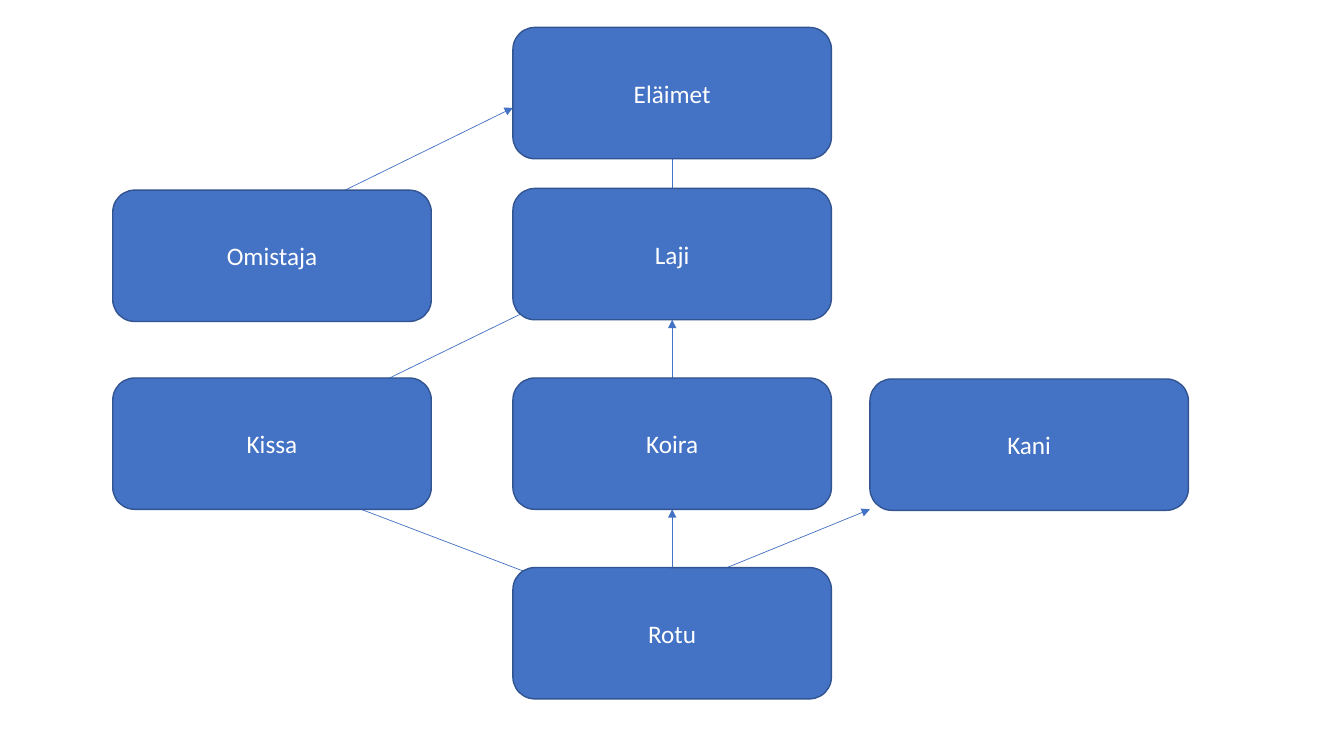
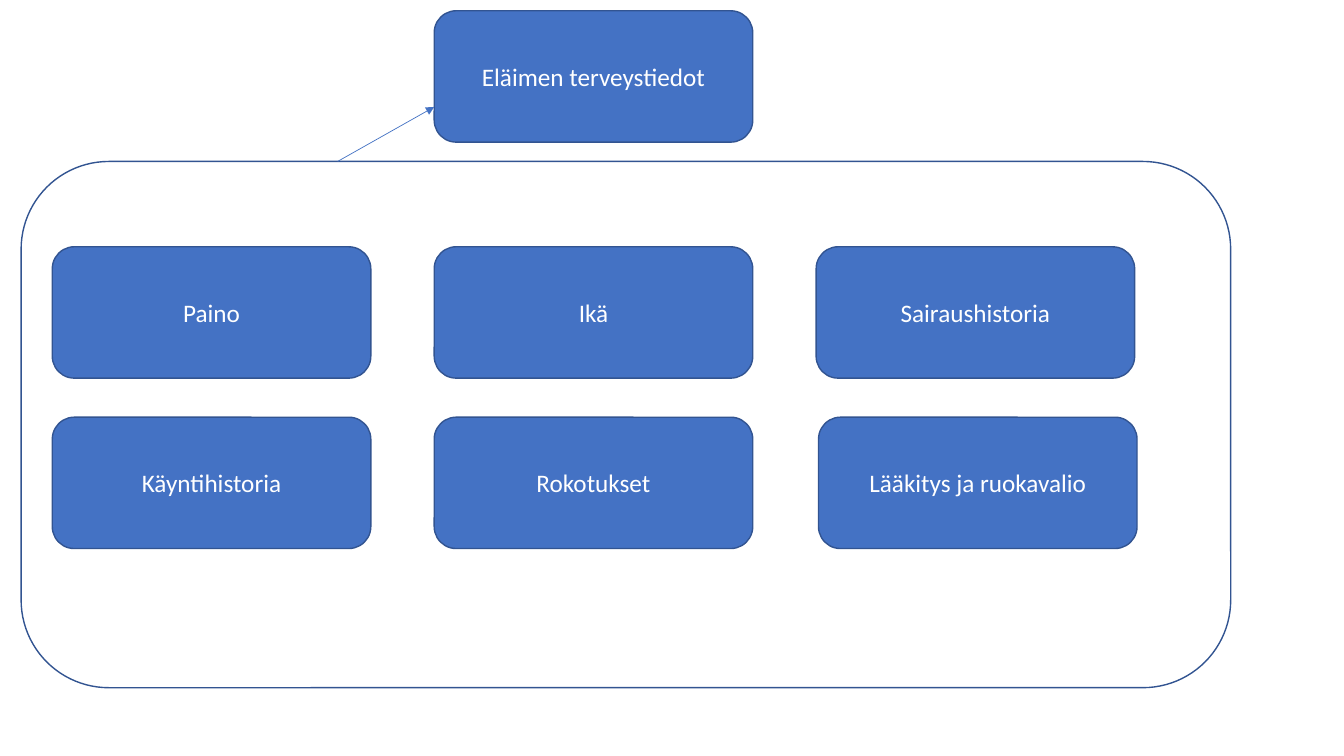
"""Builds two diagrams: the animal hierarchy and the animal health record."""
from dataclasses import dataclass

from pptx import Presentation
from pptx.dml.color import RGBColor
from pptx.enum.shapes import MSO_CONNECTOR, MSO_SHAPE
from pptx.enum.text import MSO_ANCHOR, PP_ALIGN
from pptx.oxml.ns import qn
from pptx.util import Pt
from lxml.etree import SubElement


@dataclass(frozen=True)
class Theme:
    blue: RGBColor = RGBColor.from_string("4472C4")
    outline: RGBColor = RGBColor.from_string("325491")
    white: RGBColor = RGBColor.from_string("FFFFFF")
    font: str = "Calibri"
    label_size: float = 18
    outline_width: float = 1
    arrow_width: float = 0.5
    box_width: float = 227.5
    box_height: float = 93.8


theme = Theme()


def add_box(slide, left, top, label="", width=theme.box_width, height=theme.box_height):
    box = slide.shapes.add_shape(
        MSO_SHAPE.ROUNDED_RECTANGLE, Pt(left), Pt(top), Pt(width), Pt(height))
    box.shadow.inherit = False
    box.line.color.rgb = theme.outline
    box.line.width = Pt(theme.outline_width)
    if not label:
        box.fill.background()
        return
    box.fill.solid()
    box.fill.fore_color.rgb = theme.blue
    box.text_frame.word_wrap = True
    box.text_frame.vertical_anchor = MSO_ANCHOR.MIDDLE
    paragraph = box.text_frame.paragraphs[0]
    paragraph.alignment = PP_ALIGN.CENTER
    run = paragraph.add_run()
    run.text = label
    run.font.name = theme.font
    run.font.size = Pt(theme.label_size)
    run.font.color.rgb = theme.white


def add_arrow(slide, start_x, start_y, end_x, end_y):
    arrow = slide.shapes.add_connector(
        MSO_CONNECTOR.STRAIGHT, Pt(start_x), Pt(start_y), Pt(end_x), Pt(end_y))
    arrow.line.color.rgb = theme.blue
    arrow.line.width = Pt(theme.arrow_width)
    SubElement(arrow.line._get_or_add_ln(), qn("a:tailEnd"), type="triangle")
    SubElement(arrow._element.spPr, qn("a:effectLst"))


deck = Presentation()
deck.slide_width, deck.slide_height = Pt(960), Pt(540)
blank = deck.slide_layouts[6]

hierarchy = deck.slides.add_slide(blank)
left_column, middle_column, right_column = 80.6, 366.4, 621.4
middle_axis = middle_column + theme.box_width / 2

for start_x, start_y, end_x, end_y in (
    (246.2, 136, middle_column, 77),
    (middle_axis, 152.6, middle_axis, 92.9),
    (263.5, 277.2, 383, 218.9),
    (middle_axis, 270, middle_axis, 228.4),
    (middle_axis, 419, middle_axis, 363.8),
    (397.4, 416.9, 225.4, 351.4),
    (486, 419, right_column, 363.8),
):
    add_arrow(hierarchy, start_x, start_y, end_x, end_y)

for label, left, top in (
    ("Eläimet", middle_column, 19.6),
    ("Omistaja", left_column, 135.8),
    ("Laji", middle_column, 134.6),
    ("Kissa", left_column, 270),
    ("Koira", middle_column, 270),
    ("Rotu", middle_column, 405.4),
    ("Kani", right_column, 270.7),
):
    add_box(hierarchy, left, top, label)

health = deck.slides.add_slide(blank)
first_column, column_step = 37.4, 272.8
record_column = first_column + column_step
add_box(health, record_column, 7.7, "Eläimen terveystiedot")

for top, labels, last_shift in (
    (176.3, ("Paino", "Ikä", "Sairaushistoria"), 0),
    (298, ("Käyntihistoria", "Rokotukset", "Lääkitys ja ruokavalio"), 1.7),
):
    for column, label in enumerate(labels):
        shift = last_shift if column == 2 else 0
        add_box(health, first_column + column * column_step + shift, top, label)

record_top = 115.3
add_box(health, 15.1, record_top, width=864, height=375.9)
add_arrow(health, 241.2, record_top, record_column, 76.4)

deck.save("out.pptx")
